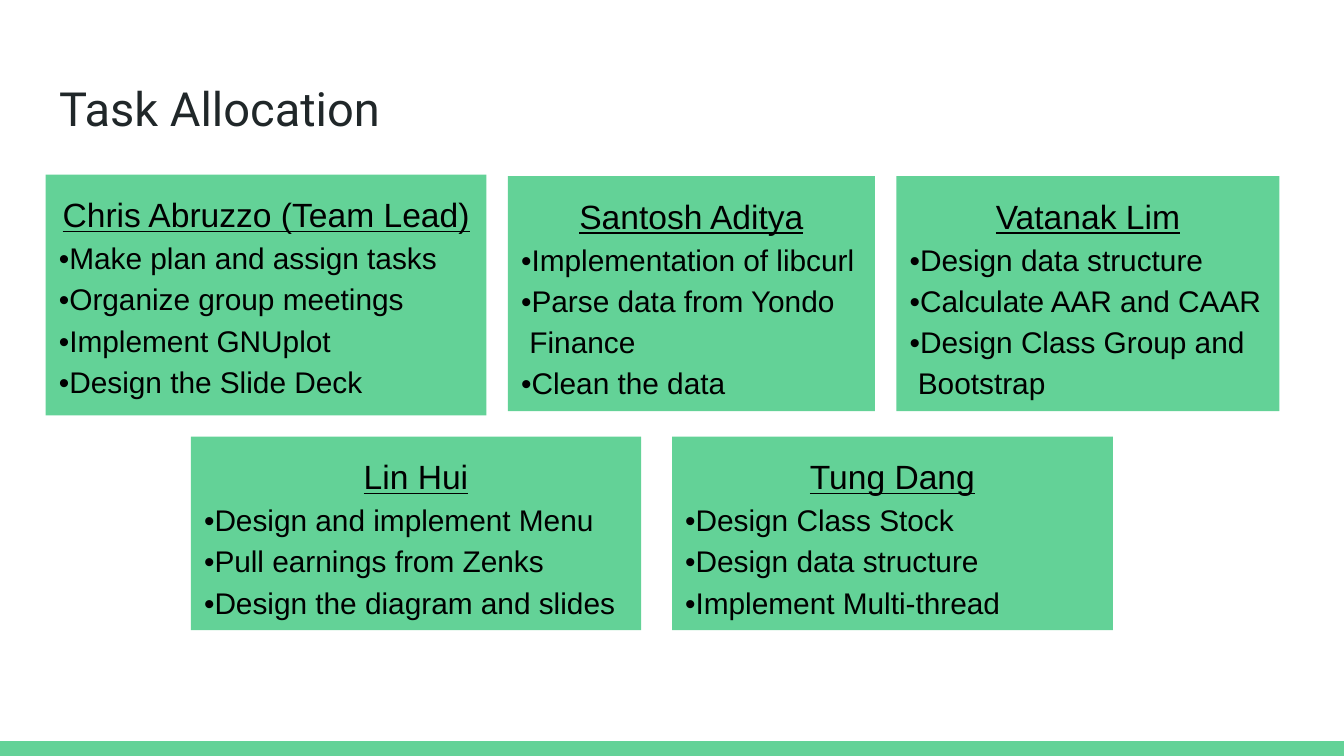
from pptx import Presentation
from pptx.dml.color import RGBColor
from pptx.enum import shapes, text
from pptx.util import Inches, Pt

GREEN = RGBColor(0x63, 0xD2, 0x97)
INK = RGBColor(0x20, 0x27, 0x29)
BLACK = RGBColor(0, 0, 0)
SLIDE_WIDTH = 10
SLIDE_HEIGHT = SLIDE_WIDTH * 9 / 16
LEFT, GAP = 0.34, 0.16
FOOTER_HEIGHT = 0.11
TITLE_FONT = {"name": "Roboto", "size": Pt(25.2), "bold": False}
MEMBER_FONT = {"name": "Arial", "size": Pt(18), "underline": True}
TASK_FONT = {"name": "Arial", "size": Pt(16), "underline": False}
FRAME = {"word_wrap": True, "vertical_anchor": text.MSO_ANCHOR.TOP}
FRAME.update({f"margin_{side}": Inches(0.1) for side in ("left", "top", "right", "bottom")})

TOP_ROW = [
    ("Chris Abruzzo (Team Lead)",
     ["•Make plan and assign tasks", "•Organize group meetings", "•Implement GNUplot",
      "•Design the Slide Deck"], (LEFT, 1.3, 3.28, 1.79)),
    ("Santosh Aditya",
     ["•Implementation of libcurl", "•Parse data from Yondo", " Finance",
      "•Clean the data"], (LEFT + 3.28 + GAP, 1.31, 2.73, 1.75)),
]
BOTTOM_ROW = [
    ("Lin Hui",
     ["•Design and implement Menu", "•Pull earnings from Zenks",
      "•Design the diagram and slides"], (1.42, 3.25, 3.35, 1.44)),
    ("Tung Dang",
     ["•Design Class Stock", "•Design data structure", "•Implement Multi-thread"],
     (5, 3.25, 3.28, 1.44)),
]
TOP_RIGHT = [
    ("Vatanak Lim",
     ["•Design data structure", "•Calculate AAR and CAAR", "•Design Class Group and",
      " Bootstrap"], (LEFT + 3.28 + 2.73 + 2 * GAP, 1.31, 2.85, 1.75)),
]


def apply_format(target, values):
    """Set each named attribute on the target."""
    for name, value in values.items():
        setattr(target, name, value)


def add_green_box(slide, box):
    """Add a flat green rectangle and return it."""
    rectangle = slide.shapes.add_shape(shapes.MSO_SHAPE.RECTANGLE, *map(Inches, box))
    rectangle.shadow.inherit = False
    rectangle.fill.solid()
    rectangle.fill.fore_color.rgb = GREEN
    rectangle.line.fill.background()
    return rectangle


def write_line(paragraph, wording, font, color, alignment):
    """Write one formatted run into a paragraph."""
    paragraph.alignment = alignment
    run = paragraph.add_run()
    run.text = wording
    apply_format(run.font, font)
    run.font.color.rgb = color


def add_title(slide, box):
    """Place and format the slide title."""
    title = slide.shapes.title
    apply_format(title, dict(zip(("left", "top", "width", "height"), map(Inches, box))))
    apply_format(title.text_frame, {**FRAME, "auto_size": text.MSO_AUTO_SIZE.NONE})
    write_line(title.text_frame.paragraphs[0], "Task Allocation", TITLE_FONT, INK,
               text.PP_ALIGN.LEFT)


def add_member_card(slide, member, tasks, box):
    """Add a card with a member's name above the assigned tasks."""
    frame = add_green_box(slide, box).text_frame
    apply_format(frame, {**FRAME, "auto_size": text.MSO_AUTO_SIZE.SHAPE_TO_FIT_TEXT})
    heading = frame.paragraphs[0]
    heading.line_spacing = 1.15
    write_line(heading, member, MEMBER_FONT, BLACK, text.PP_ALIGN.CENTER)
    for task in tasks:
        line = frame.add_paragraph()
        line.line_spacing = 1.15
        write_line(line, task, TASK_FONT, BLACK, text.PP_ALIGN.LEFT)


def main():
    """Build the task allocation slide."""
    deck = Presentation()
    deck.slide_width, deck.slide_height = Inches(SLIDE_WIDTH), Inches(SLIDE_HEIGHT)
    slide = deck.slides.add_slide(deck.slide_layouts[5])
    add_green_box(slide, (0, SLIDE_HEIGHT - FOOTER_HEIGHT, SLIDE_WIDTH, FOOTER_HEIGHT))
    add_title(slide, (LEFT, 0.49, SLIDE_WIDTH - 2 * LEFT, 0.63))
    for member, tasks, box in TOP_ROW + BOTTOM_ROW + TOP_RIGHT:
        add_member_card(slide, member, tasks, box)
    deck.save("out.pptx")


if __name__ == "__main__":
    main()
